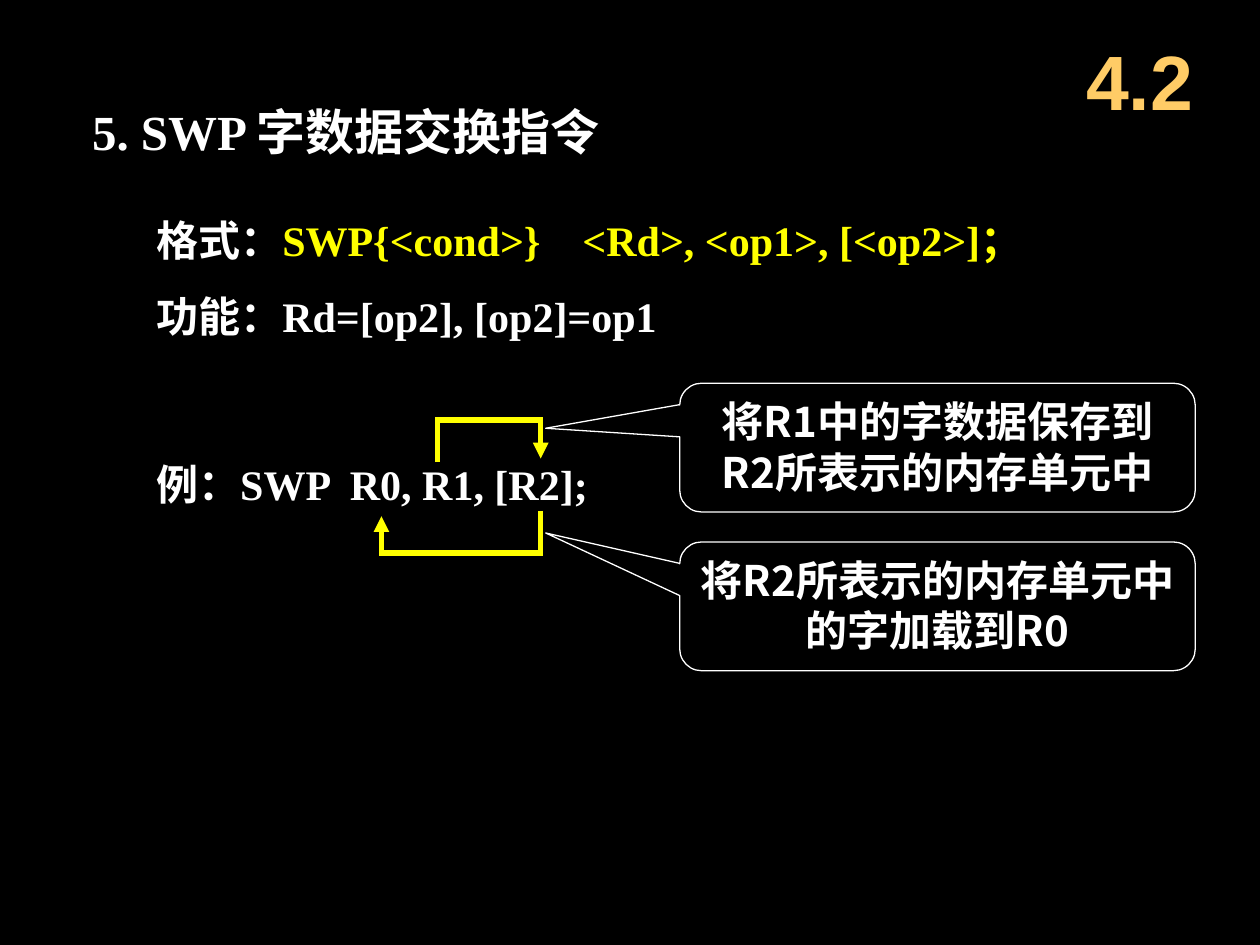
from lxml import etree
from pptx import Presentation
from pptx.dml.color import RGBColor
from pptx.enum.shapes import MSO_SHAPE
from pptx.enum.text import MSO_ANCHOR, MSO_AUTO_SIZE, PP_ALIGN
from pptx.oxml.ns import qn
from pptx.util import Pt

CALLOUT = MSO_SHAPE.ROUNDED_RECTANGULAR_CALLOUT
TOP, MIDDLE = MSO_ANCHOR.TOP, MSO_ANCHOR.MIDDLE
LEFT, CENTER = PP_ALIGN.LEFT, PP_ALIGN.CENTER
NO_FIT = MSO_AUTO_SIZE.NONE
TITLE_ONLY = 5

SERIF, CJK, SANS = "Times New Roman", "Noto Sans CJK SC", "Arial"
BLACK, WHITE, YELLOW, GOLD = "000000", "FFFFFF", "FFFF00", "FFCC66"


def rgb(value):
    return RGBColor.from_string(value)


def set_attributes(target, values):
    for name, value in values.items():
        setattr(target, name, value)


def place(s, box):
    set_attributes(s, dict(zip(("left", "top", "width", "height"), map(Pt, box))))


def write(s, paragraphs, font, size, align=LEFT, anchor=TOP, wrap=True, gap=0):
    """Fill a shape with paragraphs, each a list of (text, colour) runs."""
    tf = s.text_frame
    set_attributes(tf, {"word_wrap": wrap, "auto_size": NO_FIT,
                        "vertical_anchor": anchor})
    for i, runs in enumerate(paragraphs):
        p = tf.paragraphs[0] if i == 0 else tf.add_paragraph()
        p.alignment = align
        if i:
            p.space_before = Pt(gap)
        for text, colour in runs:
            r = p.add_run()
            r.text = text
            set_attributes(r.font, {"name": font, "size": Pt(size), "bold": True})
            r.font.color.rgb = rgb(colour)
            etree.SubElement(r.font._element, qn("a:ea"), typeface=CJK)


def add_text(slide, box, paragraphs, font, size, **layout):
    s = slide.shapes.add_textbox(*map(Pt, box))
    write(s, paragraphs, font, size, **layout)


def outline(s, colour, width):
    s.shadow.inherit = False
    s.fill.background()
    s.line.color.rgb = rgb(colour)
    s.line.width = Pt(width)


def add_bent_arrow(slide, start_x, start_y, bend_y, end_x, end_y):
    builder = slide.shapes.build_freeform(start_x, start_y, scale=Pt(1))
    builder.add_line_segments(
        [(start_x, bend_y), (end_x, bend_y), (end_x, end_y)], close=False)
    s = builder.convert_to_shape()
    outline(s, YELLOW, 3)
    ln = s.line._get_or_add_ln()
    etree.SubElement(ln, qn("a:miter"), lim="800000")
    etree.SubElement(ln, qn("a:tailEnd"), type="triangle")


def add_callout(slide, top, pointer, text):
    s = slide.shapes.add_shape(CALLOUT, *map(Pt, (388.4, top, 294.6, 73.6)))
    for i, value in enumerate(pointer):
        s.adjustments[i] = value
    outline(s, WHITE, 0.75)
    write(s, [[(text, WHITE)]], CJK, 24, align=CENTER)


def main():
    prs = Presentation()
    prs.slide_width, prs.slide_height = Pt(720), Pt(540)
    slide = prs.slides.add_slide(prs.slide_layouts[TITLE_ONLY])
    slide.background.fill.solid()
    slide.background.fill.fore_color.rgb = rgb(BLACK)

    title = slide.shapes.title
    place(title, (45.4, 54.6, 312.6, 41.2))
    write(title, [[("5. SWP 字数据交换指令", WHITE)]], SERIF, 28, wrap=False)

    add_text(slide, (82.2, 118.8, 578, 80), [
        [("格式：", WHITE), ("SWP{<cond>}    <Rd>, <op1>, [<op2>]；", YELLOW)],
        [("功能：Rd=[op2], [op2]=op1", WHITE)],
    ], SERIF, 24, gap=15)
    add_text(slide, (82.2, 258.6, 380, 36),
             [[("例：SWP  R0, R1, [R2];", WHITE)]], SERIF, 24)

    r0_x, r1_x, r2_x = 218.2, 250.5, 308.9
    add_bent_arrow(slide, r1_x, 264.2, 240.4, r2_x, 262.2)
    add_bent_arrow(slide, r2_x, 292.4, 316.5, r0_x, 295)

    add_callout(slide, 309.7, (-0.76, -0.57, 0.17),
                "将R2所表示的内存单元中的字加载到R0")
    add_callout(slide, 219, (-0.76, -0.15, 0.17),
                "将R1中的字数据保存到R2所表示的内存单元中")
    add_text(slide, (606.2, 12.4, 90, 66.2), [[("4.2", GOLD)]], SANS, 44,
             align=CENTER, anchor=MIDDLE)

    prs.save("out.pptx")


if __name__ == "__main__":
    main()
